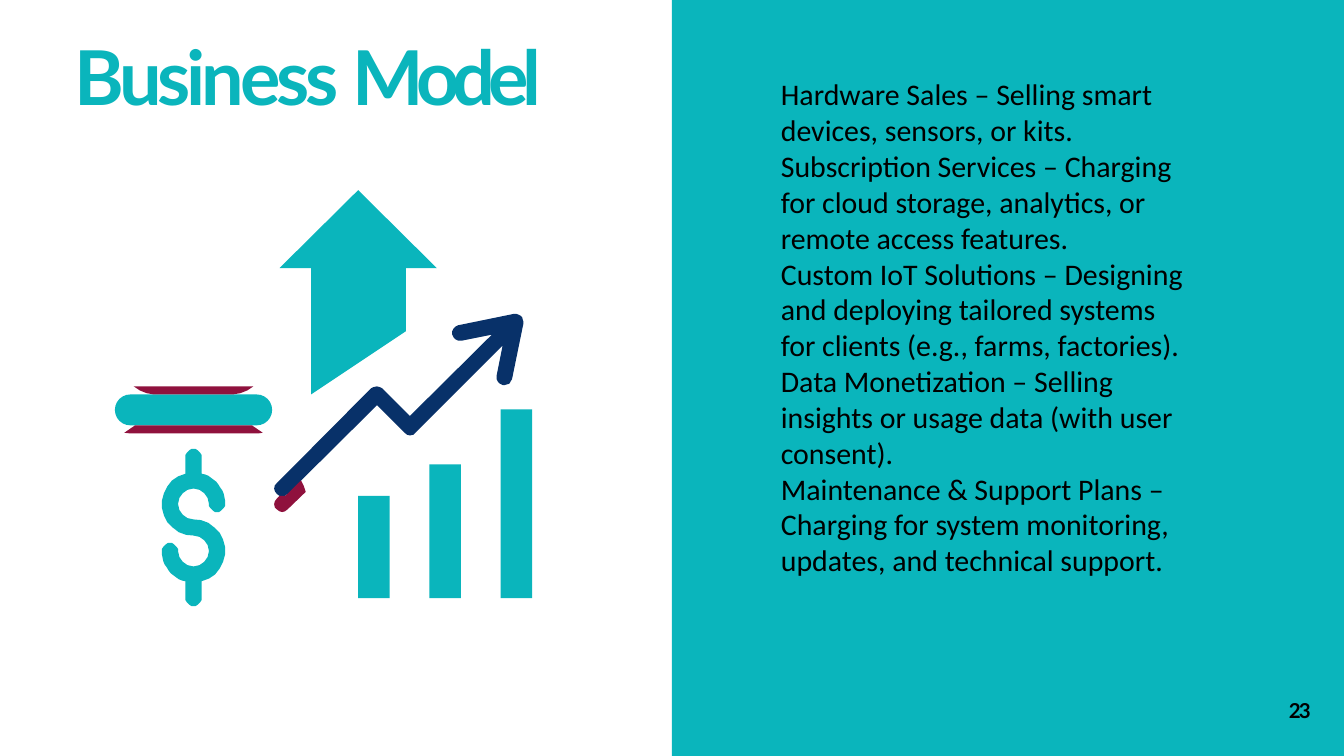
from math import cos, radians, sin

from pptx import Presentation
from pptx.dml.color import RGBColor
from pptx.enum.shapes import MSO_SHAPE
from pptx.enum.text import MSO_ANCHOR, MSO_AUTO_SIZE, PP_ALIGN
from pptx.util import Emu, Pt

PX = 9144
WIDTH, HEIGHT = 2000, 1125
TEAL = RGBColor(0x0A, 0xB5, 0xBC)
NAVY = RGBColor(0x08, 0x31, 0x69)
MAROON = RGBColor(0x8F, 0x11, 0x3D)
BLACK = RGBColor(0, 0, 0)

UP_ARROW = [(463, 587), (463, 399), (416, 399), (533, 283),
            (650, 399), (604, 399), (604, 493)]
TREND = [
    (420, 739), (416, 738), (412, 735), (409, 731), (408, 727), (409, 722), (412, 719),
    (552, 578), (556, 576), (561, 575), (565, 576), (569, 578), (610, 619), (732, 498),
    (687, 507), (682, 507), (678, 505), (675, 502), (673, 498), (673, 493), (675, 489),
    (678, 486), (682, 484), (765, 467), (768, 467), (771, 468), (775, 470), (777, 472),
    (778, 476), (779, 479), (779, 481), (762, 564), (758, 571), (751, 573), (748, 573),
    (744, 571), (741, 568), (739, 564), (739, 559), (748, 514), (618, 644), (615, 647),
    (610, 648), (606, 647), (602, 644), (561, 603), (428, 735), (424, 738),
]
COIN_TOP = [(346, 587), (229, 587), (218, 585), (208, 581), (199, 575),
            (377, 575), (368, 581), (358, 585)]
COIN_BOTTOM = [(384, 645), (194, 645), (185, 644), (201, 633), (375, 633), (391, 644)]
TREND_END = [(420, 762), (416, 761), (412, 758), (409, 755), (408, 750), (409, 746),
             (412, 742), (416, 738), (424, 738), (428, 735), (448, 715), (452, 723),
             (455, 732), (428, 758), (424, 761)]
REVENUE_STREAMS = [
    "Hardware Sales – Selling smart devices, sensors, or kits.",
    "Subscription Services – Charging for cloud storage, analytics, or remote access features.",
    "Custom IoT Solutions – Designing and deploying tailored systems for clients "
    "(e.g., farms, factories).",
    "Data Monetization – Selling insights or usage data (with user consent).",
    "Maintenance & Support Plans – Charging for system monitoring, updates, "
    "and technical support.",
]


def arc(x, y, radius, start, end, steps=12):
    """Return points along a circle, with angles in degrees clockwise from the right."""
    angles = [radians(start + (end - start) * i / steps) for i in range(steps + 1)]
    return [(x + radius * cos(a), y + radius * sin(a)) for a in angles]


def dollar_outline(x, y):
    """Return a dollar sign whose lower half is the upper half turned about its centre."""
    bowl = y - 35
    upper = (arc(x, bowl, 47, 90, 255) + arc(x, bowl - 70, 12, 180, 360)
             + arc(x, bowl, 47, 285, 360) + arc(x + 35, bowl, 12, 0, 180)
             + arc(x, bowl, 23, 360, 90))
    return upper + [(2 * x - px, 2 * y - py) for px, py in upper]


class SlideBuilder:
    """Hold the current slide and draw its elements in one style."""

    def __init__(self, slide):
        self.slide = slide

    def paint(self, shape, color):
        """Give a shape a flat fill without line or shadow."""
        shape.fill.solid()
        shape.fill.fore_color.rgb = color
        shape.line.fill.background()
        shape.shadow.inherit = False

    def block(self, kind, box, color):
        """Draw a preset shape."""
        shape = self.slide.shapes.add_shape(kind, *(Emu(v * PX) for v in box))
        self.paint(shape, color)
        return shape

    def outline(self, points, color):
        """Draw a closed outline."""
        builder = self.slide.shapes.build_freeform(*points[0], scale=PX)
        builder.add_line_segments(points[1:], close=True)
        self.paint(builder.convert_to_shape(), color)

    def fill_text(self, shape, paragraphs, font, size, color, bold=False, top=0, before=0):
        """Write paragraphs made of (text, letter spacing) runs."""
        frame = shape.text_frame
        frame.word_wrap = True
        frame.auto_size = MSO_AUTO_SIZE.NONE
        frame.vertical_anchor = MSO_ANCHOR.TOP
        frame.margin_left = frame.margin_right = frame.margin_bottom = 0
        frame.margin_top = Emu(top * PX)
        for i, runs in enumerate(paragraphs):
            paragraph = frame.add_paragraph() if i else frame.paragraphs[0]
            paragraph.alignment = PP_ALIGN.LEFT
            paragraph.space_before = Pt(before)
            for text, spacing in runs:
                run = paragraph.add_run()
                run.text = text
                run.font.name = font
                run.font.size = Pt(size)
                run.font.bold = bold
                run.font.color.rgb = color
                if spacing:
                    run.font._element.set("spc", str(spacing))

    def title(self, box, runs):
        """Place the title placeholder in front and write it."""
        heading = self.slide.shapes.title
        heading.left, heading.top, heading.width, heading.height = (Emu(v * PX) for v in box)
        heading.element.getparent().append(heading.element)
        self.fill_text(heading, [runs], "Lato", 81, TEAL, bold=True, top=47, before=1)

    def text(self, box, paragraphs, font, size, **style):
        """Add a black text box."""
        shape = self.slide.shapes.add_textbox(*(Emu(v * PX) for v in box))
        self.fill_text(shape, paragraphs, font, size, BLACK, **style)


def main():
    """Build the business model slide."""
    deck = Presentation()
    deck.slide_width, deck.slide_height = Emu(WIDTH * PX), Emu(HEIGHT * PX)
    page = SlideBuilder(deck.slides.add_slide(deck.slide_layouts[5]))

    page.block(MSO_SHAPE.RECTANGLE, (WIDTH // 2, 0, WIDTH // 2, HEIGHT), TEAL)
    coin = page.block(MSO_SHAPE.ROUNDED_RECTANGLE, (171, 587, 234, 46), TEAL)
    coin.adjustments[0] = 0.5
    page.outline(dollar_outline(288, 785), TEAL)
    for i, height in enumerate((152, 199, 281)):
        page.block(MSO_SHAPE.RECTANGLE, (533 + 106 * i, 890 - height, 47, height), TEAL)
    for points, color in ((UP_ARROW, TEAL), (TREND, NAVY), (COIN_TOP, MAROON),
                          (COIN_BOTTOM, MAROON), (TREND_END, MAROON)):
        page.outline(points, color)

    page.title((111, -2, 1008, 474), [("Business ", -450), ("Model", -740)])
    page.text((1918, 1037, 36, 39), [[("23", -190)]], "Lato", 22, bold=True, top=1, before=1)
    page.text((1162, 111, 604, 971), [[(stream, 0)] for stream in REVENUE_STREAMS],
              "Calibri", 32, top=2)
    deck.save("out.pptx")


if __name__ == "__main__":
    main()
